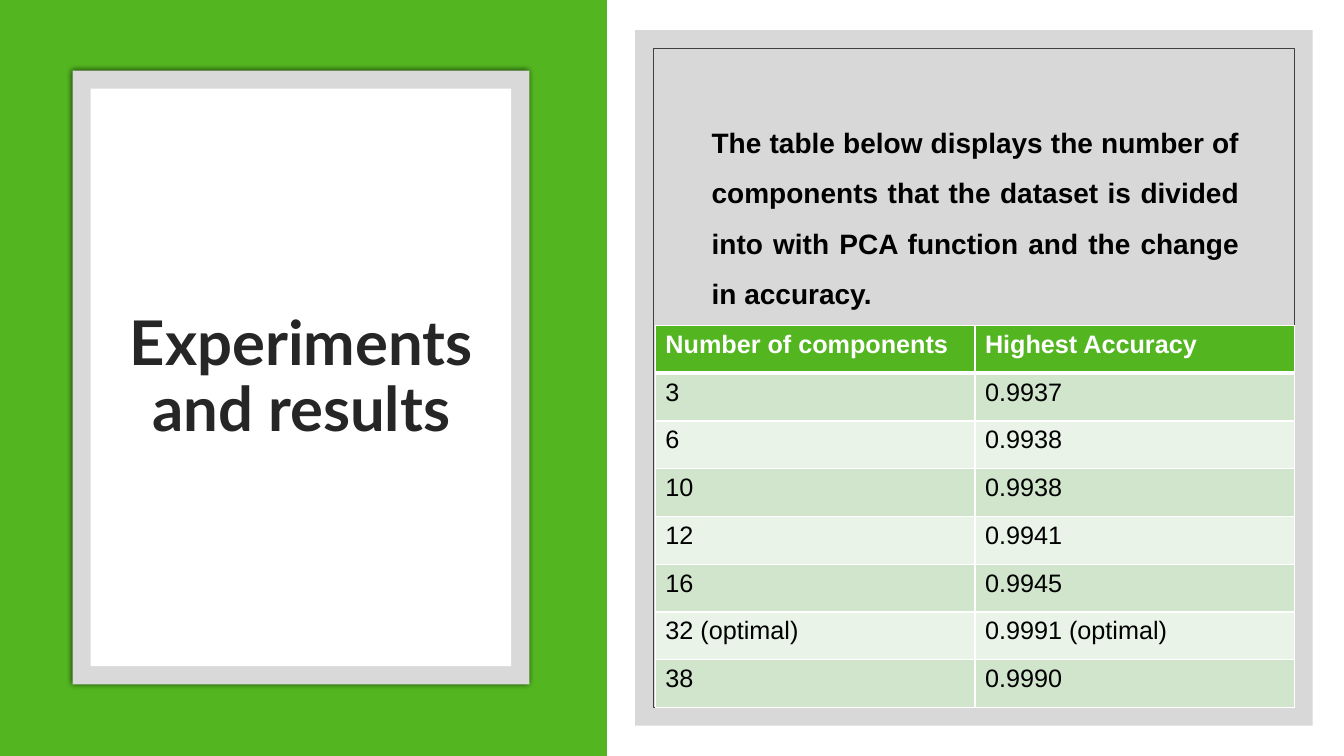
from lxml import etree
from pptx import Presentation
from pptx.dml.color import RGBColor
from pptx.enum.shapes import MSO_SHAPE
from pptx.enum.text import MSO_ANCHOR, PP_ALIGN
from pptx.oxml import parse_xml
from pptx.oxml.ns import nsdecls, qn
from pptx.util import Inches, Pt

GREEN = RGBColor(0x53, 0xB6, 0x20)
WHITE = RGBColor(0xFF, 0xFF, 0xFF)
BLACK = RGBColor(0, 0, 0)
FRAME = RGBColor(0xD9, 0xD9, 0xD9)
PANEL = RGBColor(0xBF, 0xBF, 0xBF)
DARK = RGBColor(0x26, 0x26, 0x26)
OUTLINE = RGBColor(0x40, 0x40, 0x40)
BANDS = [RGBColor(0xE9, 0xF3, 0xE8), RGBColor(0xD1, 0xE5, 0xCD)]

prs = Presentation()
prs.slide_width, prs.slide_height = Inches(13.33), Inches(7.5)
s = prs.slides.add_slide(prs.slide_layouts[5])


def add_rect(x, y, w, h, fill=None, line=None):
    sp = s.shapes.add_shape(MSO_SHAPE.RECTANGLE, Inches(x), Inches(y), Inches(w), Inches(h))
    sp.shadow.inherit = False
    if fill is None:
        sp.fill.background()
    else:
        sp.fill.solid()
        sp.fill.fore_color.rgb = fill
    if line is None:
        sp.line.fill.background()
    else:
        sp.line.color.rgb = line
        sp.line.width = Pt(0.5)
    return sp


def set_text(tf, text, size, color=BLACK, font="Arial", bold=True, align=PP_ALIGN.LEFT, spacing=1.0):
    tf.word_wrap = True
    p = tf.paragraphs[0]
    p.alignment, p.line_spacing = align, spacing
    r = p.add_run()
    r.text = text
    r.font.name, r.font.size, r.font.bold = font, Pt(size), bold
    r.font.color.rgb = color


# Background and left green side with the framed title card
add_rect(0, 0, 13.33, 7.5, WHITE)
add_rect(-0.01, 0, 6.03, 7.5, GREEN)
frame = add_rect(0.72, 0.7, 4.53, 6.09, FRAME)
frame.element.spPr.find(qn("a:effectLst")).append(parse_xml(
    f'<a:outerShdw {nsdecls("a")} blurRad="{Pt(4)}" dist="0" dir="0" algn="ctr" rotWithShape="0">'
    '<a:srgbClr val="000000"><a:alpha val="66000"/></a:srgbClr></a:outerShdw>'))
add_rect(0.9, 0.88, 4.17, 5.73, WHITE)

# Title, brought in front of the card
title = s.shapes.title
title.element.getparent().append(title.element)
title.left, title.top, title.width, title.height = Inches(1.08), Inches(1.3), Inches(3.82), Inches(4.91)
title.text_frame.vertical_anchor = MSO_ANCHOR.MIDDLE
set_text(title.text_frame, "Experiments and results", 44, DARK, "Lato",
         align=PP_ALIGN.CENTER, spacing=0.9)

# Right panel: translucent fill and thin inner outline
panel = add_rect(6.3, 0.3, 6.72, 6.9, PANEL)
panel_color = panel.element.spPr.find(qn("a:solidFill"))[0]
etree.SubElement(panel_color, qn("a:alpha"), val="60000")
add_rect(6.48, 0.48, 6.36, 6.54, line=OUTLINE)

# Introductory text
intro = s.shapes.add_textbox(Inches(6.96), Inches(1.03), Inches(5.43), Inches(2.06))
set_text(intro.text_frame,
         "The table below displays the number of components that the dataset is divided "
         "into with PCA function and the change in accuracy.",
         20, align=PP_ALIGN.JUSTIFY, spacing=1.5)

# Accuracy table
rows = [
    ("Number of components", "Highest Accuracy"),
    ("3", "0.9937"),
    ("6", "0.9938"),
    ("10", "0.9938"),
    ("12", "0.9941"),
    ("16", "0.9945"),
    ("32 (optimal)", "0.9991 (optimal)"),
    ("38", "0.9990"),
]
table = s.shapes.add_table(len(rows), 2, Inches(6.5), Inches(3.23), Inches(6.34), Inches(3.79)).table
for i, row in enumerate(rows):
    header = i == 0
    for j, text in enumerate(row):
        cell = table.cell(i, j)
        set_text(cell.text_frame, text, 18, WHITE if header else BLACK, bold=header)
        tc_pr = cell._tc.get_or_add_tcPr()
        for side in "LRTB":
            thick = (header and side == "B") or (i == 1 and side == "T")
            tc_pr.append(parse_xml(
                f'<a:ln{side} {nsdecls("a")} w="{Pt(3 if thick else 1)}"><a:solidFill>'
                f'<a:srgbClr val="{WHITE}"/></a:solidFill></a:ln{side}>'))
        cell.fill.solid()
        cell.fill.fore_color.rgb = GREEN if header else BANDS[i % 2]

prs.save("out.pptx")
